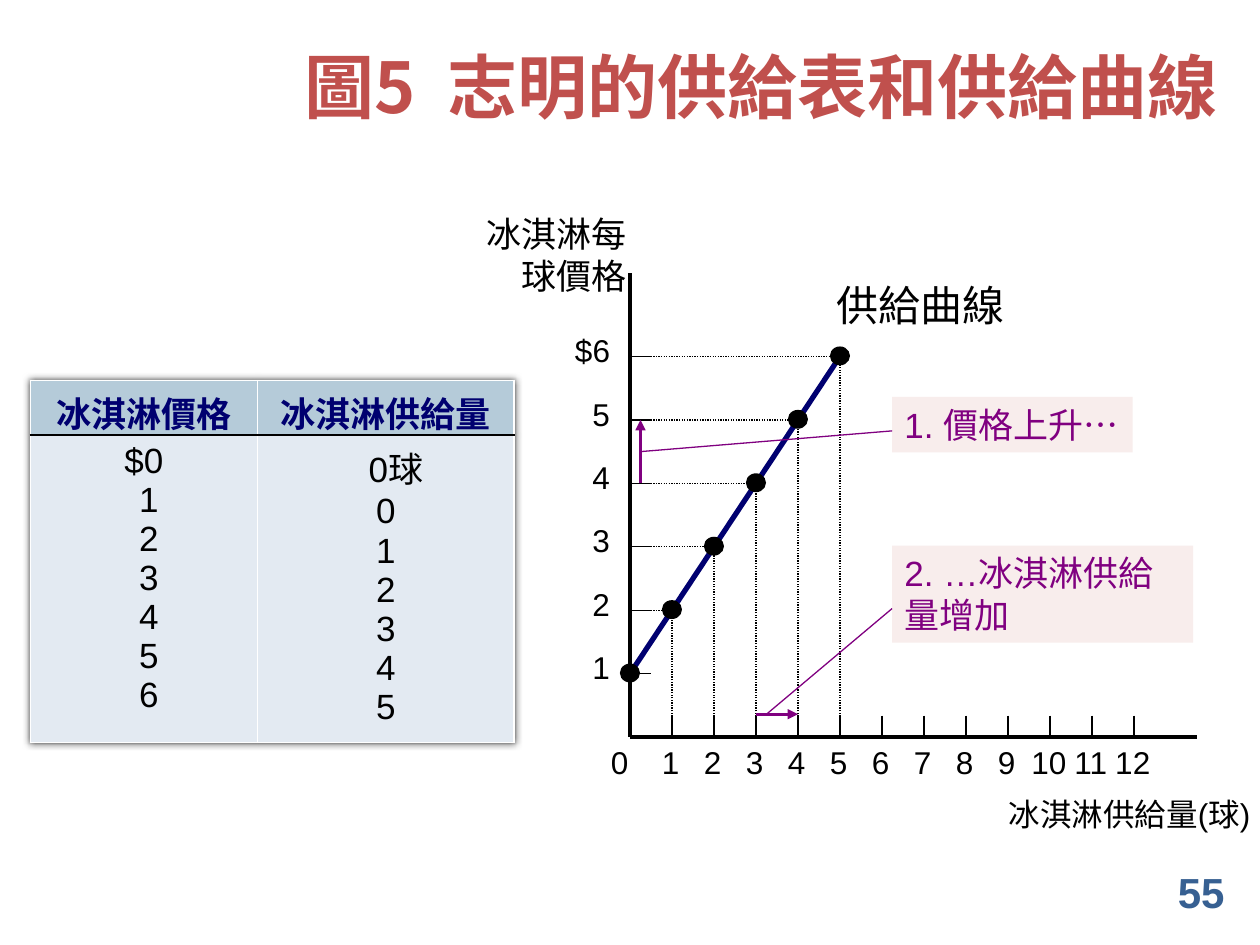
from lxml import etree
from pptx import Presentation
from pptx import util as u
from pptx.dml.color import RGBColor
from pptx.enum import dml, shapes, text
from pptx.oxml import ns, parse_xml

WHITE = RGBColor(0xFF, 0xFF, 0xFF)
BLACK = RGBColor(0, 0, 0)
RED = RGBColor(0xC0, 0x50, 0x4D)
BLUE = RGBColor(0x37, 0x60, 0x92)
NAVY = RGBColor(0, 0, 0x70)
PURPLE = RGBColor(0x80, 0, 0x80)
PINK = RGBColor(0xF8, 0xED, 0xEC)
HEADER = RGBColor(0xB5, 0xCB, 0xD9)
BODY = RGBColor(0xE3, 0xEA, 0xF2)

CJK = "Noto Sans CJK SC"
LEFT, CENTER, RIGHT = text.PP_ALIGN.LEFT, text.PP_ALIGN.CENTER, text.PP_ALIGN.RIGHT
PRICES = ["$0", "1", "2", "3", "4", "5", "6"]
QUANTITIES = ["0球", "0", "1", "2", "3", "4", "5"]


def inches(*lengths):
    return [u.Inches(length) for length in lengths]


def write(frame, words, size=20, color=BLACK, font="Arial", bold=False,
          align=LEFT, anchor=text.MSO_ANCHOR.TOP, wrap=True):
    """Fill a text frame, one paragraph for each line of words."""
    frame.word_wrap = wrap
    frame.vertical_anchor = anchor
    for index, line in enumerate(words.split("\n")):
        para = frame.add_paragraph() if index else frame.paragraphs[0]
        para.alignment = align
        span = para.add_run()
        span.text = line
        span.font.size, span.font.bold = u.Pt(size), bold
        span.font.color.rgb = color
        span.font.name = font
        east_asian = etree.SubElement(span.font._element, ns.qn("a:ea"))
        east_asian.set("typeface", CJK)


def add_label(page, box, words, **style):
    label = page.shapes.add_textbox(*inches(*box))
    write(label.text_frame, words, **style)
    return label


def add_solid(page, kind, box, fill):
    solid = page.shapes.add_shape(kind, *inches(*box))
    solid.shadow.inherit = False
    solid.fill.solid()
    solid.fill.fore_color.rgb = fill
    solid.line.fill.background()
    return solid


def add_line(page, start, end, color=BLACK, width=0.75, dotted=False, arrow=False):
    line = page.shapes.add_connector(
        shapes.MSO_CONNECTOR.STRAIGHT, *inches(*start, *end))
    line.line.color.rgb = color
    line.line.width = u.Pt(width)
    if dotted:
        line.line.dash_style = dml.MSO_LINE.ROUND_DOT
    properties = line._element.spPr
    if arrow:
        tip = etree.SubElement(properties.find(ns.qn("a:ln")), ns.qn("a:tailEnd"))
        tip.set("type", "triangle")
    etree.SubElement(properties, ns.qn("a:effectLst"))


def border(cell, side):
    cell._tc.get_or_add_tcPr().insert(0, parse_xml(
        f'<a:{side} {ns.nsdecls("a")} w="12700"><a:solidFill>'
        f'<a:srgbClr val="{BLACK}"/></a:solidFill></a:{side}>'))


def supply_table(page, box):
    left, top, width, height = box
    table = page.shapes.add_table(2, 2, *inches(*box)).table
    for column, share in zip(table.columns, (0.47, 0.53)):
        column.width = u.Inches(width * share)
    for row, share in zip(table.rows, (0.15, 0.85)):
        row.height = u.Inches(height * share)

    columns = (("冰淇淋價格", PRICES), ("冰淇淋供給量", QUANTITIES))
    for index, (heading, values) in enumerate(columns):
        head, body = table.cell(0, index), table.cell(1, index)
        write(head.text_frame, heading, color=NAVY, font="Calibri",
              bold=True, align=CENTER)
        write(body.text_frame, "\n".join(values), align=CENTER)
        for cell, fill, side in ((head, HEADER, "lnB"), (body, BODY, "lnT")):
            cell.fill.solid()
            cell.fill.fore_color.rgb = fill
            border(cell, side)

    # Indents move the bare prices and the first quantity to the right
    for para in table.cell(1, 0).text_frame.paragraphs[1:]:
        para._p.get_or_add_pPr().set("marL", str(u.Inches(0.08)))
    first = table.cell(1, 1).text_frame.paragraphs[0]
    first._p.get_or_add_pPr().set("marL", str(u.Inches(0.16)))

    # Soft shadow around the table
    table._tbl.tblPr.insert(0, parse_xml(
        f'<a:effectLst {ns.nsdecls("a")}><a:outerShdw blurRad="50800" dist="0" '
        'algn="ctr" rotWithShape="0"><a:srgbClr val="000000">'
        '<a:alpha val="70000"/></a:srgbClr></a:outerShdw></a:effectLst>'))


def add_callout(page, box, words, start, end):
    panel = add_solid(page, shapes.MSO_SHAPE.RECTANGLE, box, PINK)
    write(panel.text_frame, words, color=PURPLE)
    add_line(page, start, end, PURPLE)


def supply_curve(page, box):
    left, top, width, height = box
    bottom = top + height
    step_x, step_y = width / 13.5, height / 7.31

    def at(quantity, price):
        return left + quantity * step_x, bottom - price * step_y

    points = [(quantity, quantity + 1) for quantity in range(6)]
    add_solid(page, shapes.MSO_SHAPE.RECTANGLE, (left, top, width, height), WHITE)
    add_line(page, at(*points[0]), at(*points[-1]), NAVY, 3)
    add_label(page, (left + 1.54, top, 1.55, 0.5), "供給曲線", size=24, wrap=False)

    # Quantity axis
    add_line(page, at(0, 0), (left + width, bottom), width=2.25)
    add_label(page, (left - 0.25, bottom, 0.34, 0.4), "0", size=18, wrap=False)
    for quantity in range(1, 13):
        x, y = at(quantity, 0)
        add_line(page, (x, y - 0.17), (x, y))
        add_label(page, (x - 0.25, y, 0.48, 0.4), str(quantity),
                  size=18, align=CENTER, wrap=False)
    add_label(page, (left + 2.91, bottom + 0.41, 2.14, 0.4),
              "冰淇淋供給量(球)", size=18)

    # Price axis
    add_line(page, (left, top), at(0, 0), width=2.25)
    for price in range(1, 7):
        x, y = at(0, price)
        add_line(page, (x, y), (x + 0.17, y))
        add_label(page, (x - 0.54, y - 0.25, 0.48, 0.4),
                  "$6" if price == 6 else str(price),
                  size=18, align=RIGHT, wrap=False)
    add_label(page, (left - 1.25, top - 0.53, 1.32, 0.77),
              "冰淇淋每球價格", align=RIGHT)

    # Dotted guides, then the points on top
    for quantity, price in points[1:]:
        add_line(page, at(0, price), at(quantity, price), dotted=True)
        add_line(page, at(quantity, 0), at(quantity, price), dotted=True)
    for point in points:
        x, y = at(*point)
        add_solid(page, shapes.MSO_SHAPE.OVAL,
                  (x - 0.08, y - 0.08, 0.16, 0.15), BLACK)

    # Arrows for the rise in price and in quantity, with their callouts
    add_line(page, at(0.25, 4), at(0.25, 5), PURPLE, 1.5, arrow=True)
    add_line(page, at(3, 0.36), at(4, 0.36), PURPLE, 1.5, arrow=True)
    note = left + 2.08
    add_callout(page, (note, top + 0.98, 1.91, 0.44), "1. 價格上升…",
                at(0.25, 4.5), (note, top + 1.25))
    add_callout(page, (note, top + 2.16, 2.39, 0.77), "2. …冰淇淋供給量增加",
                at(3.25, 0.36), (note, top + 2.66))


def main():
    deck = Presentation()
    deck.slide_width, deck.slide_height = inches(10, 7.5)
    page = deck.slides.add_slide(deck.slide_layouts[6])

    # Title and page number
    add_label(page, (2.16, 0.05, 7.76, 1.25), "圖5  志明的供給表和供給曲線",
              size=40, color=RED, font=CJK, bold=True, align=CENTER,
              anchor=text.MSO_ANCHOR.MIDDLE)
    add_label(page, (9.25, 6.83, 0.62, 0.5), "55", size=24, color=BLUE, bold=True)

    supply_table(page, (0.24, 3.02, 3.84, 2.87))
    supply_curve(page, (5, 2.17, 4.5, 3.68))
    deck.save("out.pptx")


if __name__ == "__main__":
    main()
